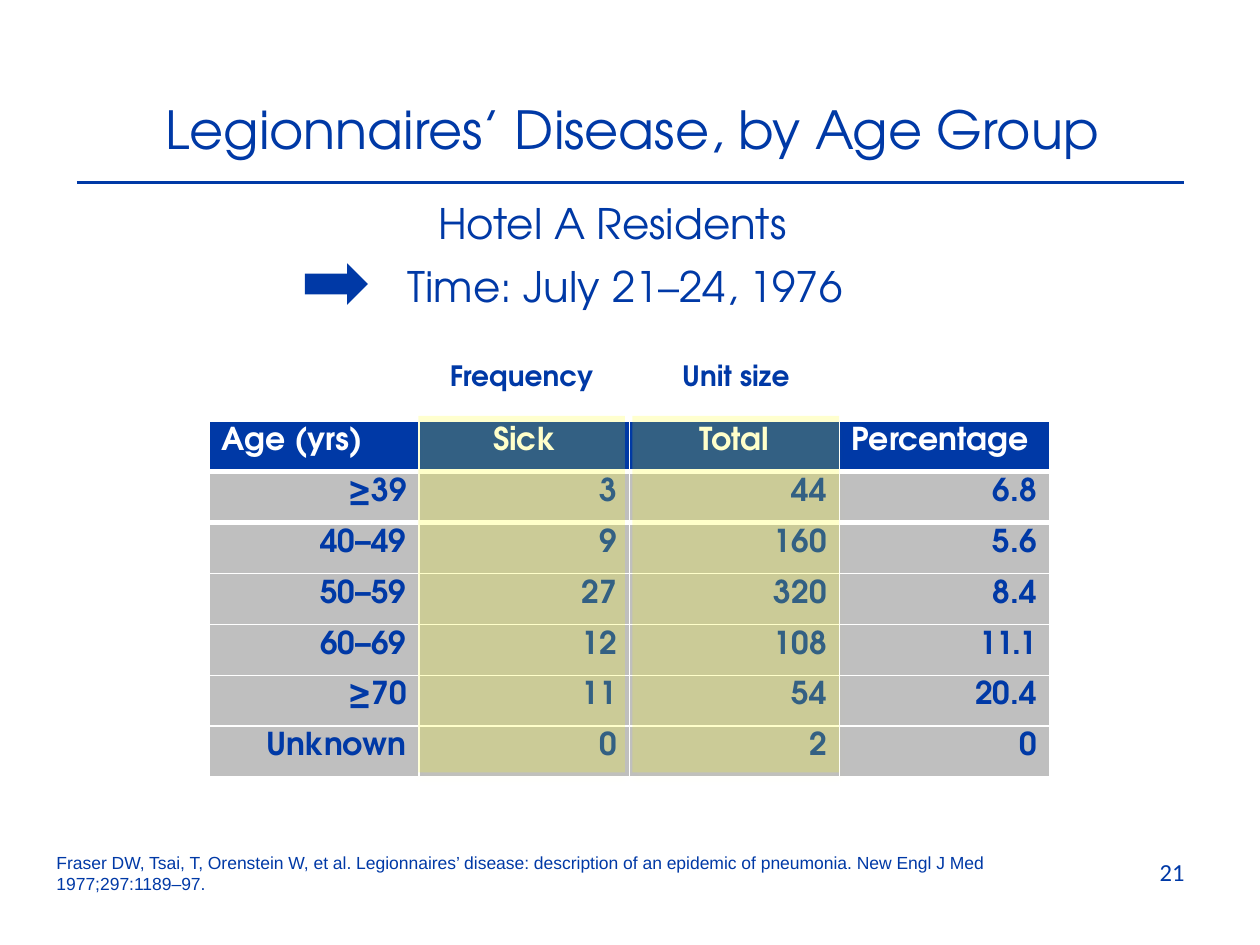
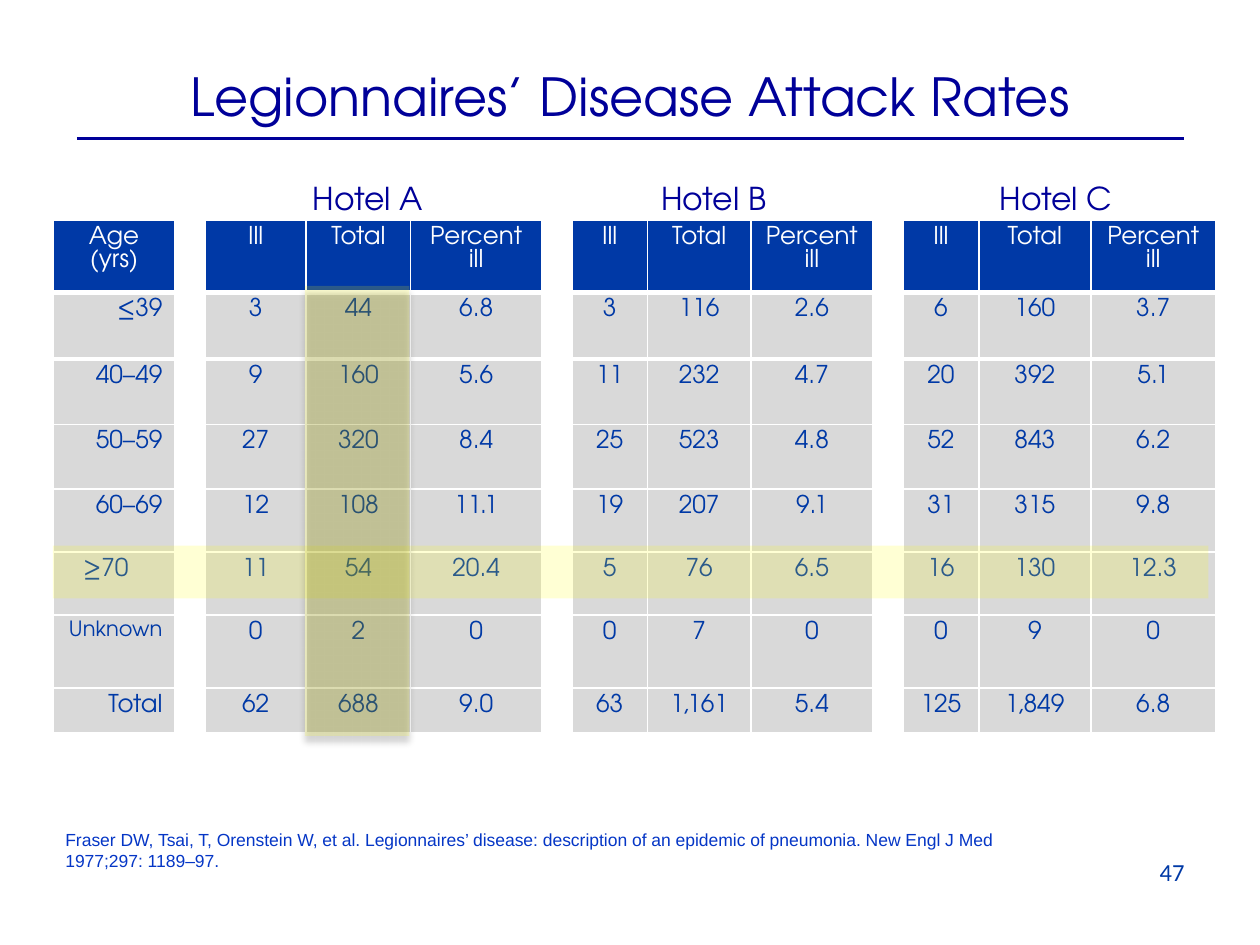
from dataclasses import dataclass

from lxml import etree
from pptx import Presentation
from pptx.dml.color import RGBColor
from pptx.enum.shapes import MSO_CONNECTOR, MSO_SHAPE
from pptx.enum.text import MSO_ANCHOR as Anchor, MSO_AUTO_SIZE as AutoSize, PP_ALIGN as Align
from pptx.oxml.ns import qn
from pptx.util import Inches, Pt


@dataclass(frozen=True)
class Theme:
    blue: str = "0039A6"
    navy: str = "000099"
    citation_blue: str = "0536C6"
    white: str = "FFFFFF"
    gray: str = "BFBFBF"
    light_gray: str = "D9D9D9"
    yellow: str = "FFFF00"
    black: str = "000000"
    heading_font: str = "TeX Gyre Adventor"
    citation_font: str = "Arial"
    number_font: str = "Calibri"
    title_size: int = 30
    subtitle_size: int = 24
    large_size: int = 18
    label_size: int = 16
    small_size: int = 14
    tiny_size: int = 12
    citation_size: int = 10


class Deck:
    def __init__(self, theme):
        self.theme = theme
        self.presentation = Presentation()
        self.presentation.slide_width = Inches(10)
        self.presentation.slide_height = Inches(7.5)
        self.slide = None

    def add_slide(self, title, box, rule_top, number, color):
        """Start a slide with its title, the rule under it and its number."""
        theme = self.theme
        self.slide = self.presentation.slides.add_slide(self.presentation.slide_layouts[5])
        shape = self.slide.shapes.title
        shape.left, shape.top, shape.width, shape.height = map(Inches, box)
        self.fill_frame(shape.text_frame, title, theme.title_size, color, align=Align.CENTER)
        self.rule(rule_top, color)
        self.text(str(number), (7.17, 6.75, 2.33, 0.4), theme.small_size, theme.blue,
                  font=theme.number_font, align=Align.RIGHT)

    def style(self, paragraph, size, color, font=None, bold=False, align=Align.LEFT):
        paragraph.alignment = align
        paragraph.font.name = font or self.theme.heading_font
        paragraph.font.size = Pt(size)
        paragraph.font.bold = bold
        paragraph.font.color.rgb = RGBColor.from_string(color)

    def fill_frame(self, frame, text, size, color, **style):
        frame.text = text
        frame.word_wrap = True
        frame.auto_size = AutoSize.NONE
        frame.vertical_anchor = Anchor.TOP
        for paragraph in frame.paragraphs:
            self.style(paragraph, size, color, **style)

    def text(self, text, box, size, color, parent=None, **style):
        shapes = (parent or self.slide).shapes
        frame = shapes.add_textbox(*map(Inches, box)).text_frame
        self.fill_frame(frame, text, size, color, **style)

    def citation(self, pages, box, color):
        self.text("Fraser DW, Tsai, T, Orenstein W, et al. Legionnaires’ disease: description "
                  f"of an epidemic of pneumonia. New Engl J Med 1977;297:{pages}.",
                  box, self.theme.citation_size, color, font=self.theme.citation_font)

    def rule(self, top, color):
        line = self.slide.shapes.add_connector(
            MSO_CONNECTOR.STRAIGHT, Inches(0.61), Inches(top), Inches(9.4), Inches(top))
        line.line.color.rgb = RGBColor.from_string(color)
        line.line.width = Pt(2)
        etree.SubElement(line._element.spPr, qn("a:effectLst"))

    def shape(self, kind, box, color, parent=None):
        shape = (parent or self.slide).shapes.add_shape(kind, *map(Inches, box))
        shape.shadow.inherit = False
        shape.fill.solid()
        shape.fill.fore_color.rgb = RGBColor.from_string(color)
        shape.line.fill.background()
        return shape

    def highlight(self, box, opacity, shadow=None, parent=None):
        """Lay a clear yellow band; shadow is a colour and its opacity in percent."""
        band = self.shape(MSO_SHAPE.RECTANGLE, box, self.theme.yellow, parent)
        properties = band._element.spPr
        self.set_opacity(properties.find(f".//{qn('a:srgbClr')}"), opacity)
        if shadow:
            color, shadow_opacity = shadow
            outer = etree.SubElement(
                properties.find(qn("a:effectLst")), qn("a:outerShdw"),
                blurRad=str(Pt(4)), dist=str(Pt(4)), dir="5400000", rotWithShape="0")
            self.set_opacity(etree.SubElement(outer, qn("a:srgbClr"), val=color), shadow_opacity)

    @staticmethod
    def set_opacity(color_element, percent):
        etree.SubElement(color_element, qn("a:alpha"), val=str(percent * 1000))

    def labelled_column(self, label, left):
        theme = self.theme
        group = self.slide.shapes.add_group_shape()
        self.highlight((left, 3.3, 1.64, 2.83), 19, (theme.yellow, 9), group)
        self.text(label, (left, 2.8, 1.64, 0.37), theme.label_size, theme.blue,
                  parent=group, bold=True, align=Align.CENTER)

    def border(self, cell, side, points):
        line = etree.Element(qn(f"a:{side}"), w=str(Pt(points)))
        fill = etree.SubElement(line, qn("a:solidFill"))
        etree.SubElement(fill, qn("a:srgbClr"), val=self.theme.white)
        cell._tc.get_or_add_tcPr().insert(0, line)

    def table(self, rows, left, top, widths, heights, body_fill, size, align_of, bold=False):
        """Draw rows under a blue header; a None cell is a white gap."""
        theme = self.theme
        table = self.slide.shapes.add_table(
            len(rows), len(widths), Inches(left), Inches(top),
            Inches(sum(widths)), Inches(sum(heights))).table
        table.horz_banding = False
        for column, width in zip(table.columns, widths):
            column.width = Inches(width)
        for row, height in zip(table.rows, heights):
            row.height = Inches(height)
        for r, row in enumerate(rows):
            for c, text in enumerate(row):
                cell = table.cell(r, c)
                fill = theme.white if text is None else body_fill if r else theme.blue
                cell.fill.solid()
                cell.fill.fore_color.rgb = RGBColor.from_string(fill)
                if r < 2:
                    self.border(cell, "lnT" if r else "lnB", 3)
                cell.text = text or ""
                for paragraph in cell.text_frame.paragraphs:
                    self.style(paragraph, size, theme.blue if r else theme.white,
                               bold=bold, align=align_of(r, c))
        return table

    def save(self):
        self.presentation.save("out.pptx")


def build_age_slide(deck):
    theme = deck.theme
    deck.add_slide("Legionnaires’ Disease, by Age Group", (0.52, 0.72, 9, 0.73), 1.45, 21, theme.blue)
    deck.citation("1189–97", (0.35, 6.71, 8.4, 0.44), theme.blue)
    rows = [
        ("Age (yrs)", "Sick", "Total", "Percentage"),
        ("≥39", "3", "44", "6.8"),
        ("40–49", "9", "160", "5.6"),
        ("50–59", "27", "320", "8.4"),
        ("60–69", "12", "108", "11.1"),
        ("≥70", "11", "54", "20.4"),
        ("Unknown", "0", "2", "0"),
    ]

    def align_of(row, column):
        if row:
            return Align.RIGHT
        return Align.CENTER if column in (1, 2) else Align.LEFT

    deck.table(rows, 1.66, 3.34, [6.67 / 4] * 4, [2.83 / len(rows)] * len(rows),
               theme.gray, theme.large_size, align_of, bold=True)
    deck.text("Time: July 21–24, 1976", (2.92, 2.02, 4.08, 0.73), theme.subtitle_size,
              theme.blue, align=Align.CENTER)
    for label, left in (("Frequency", 3.32), ("Unit size", 5.02)):
        deck.labelled_column(label, left)
    deck.text("Hotel A Residents", (3.38, 1.52, 3.2, 0.51), theme.subtitle_size, theme.blue)
    deck.shape(MSO_SHAPE.RIGHT_ARROW, (2.42, 2.09, 0.5, 0.33), theme.blue)


def build_attack_rate_slide(deck):
    theme = deck.theme
    deck.add_slide("Legionnaires’ Disease Attack Rates", (0.79, 0.46, 8.42, 0.61), 1.1, 47, theme.navy)
    deck.citation(" 1189–97", (0.42, 6.53, 7.75, 0.44), theme.citation_blue)
    header = ("Ill", "Total", "Percent\nill")
    ages = ["Age\n(yrs)", "≤39", "40–49", "50–59", "60–69", "≥70", "Unknown", "Total"]
    hotel_a = [header, ("3", "44", "6.8"), ("9", "160", "5.6"), ("27", "320", "8.4"),
               ("12", "108", "11.1"), ("11", "54", "20.4"), ("0", "2", "0"), ("62", "688", "9.0")]
    hotel_b = [header, ("3", "116", "2.6"), ("11", "232", "4.7"), ("25", "523", "4.8"),
               ("19", "207", "9.1"), ("5", "76", "6.5"), ("0", "7", "0"), ("63", "1,161", "5.4")]
    hotel_c = [header, ("6", "160", "3.7"), ("20", "392", "5.1"), ("52", "843", "6.2"),
               ("31", "315", "9.8"), ("16", "130", "12.3"), ("0", "9", "0"), ("125", "1,849", "6.8")]
    rows = [(age, None, *a, None, *b, None, *c)
            for age, a, b, c in zip(ages, hotel_a, hotel_b, hotel_c)]
    gap = 0.24
    widths = [0.97, gap, 0.8, 0.83, 1.04, gap, 0.6, 0.82, 0.97, gap, 0.6, 0.89, 0.99]
    heights = [0.57, 0.53, 0.52, 0.51, 0.5, 0.5, 0.58, 0.36]
    table = deck.table(rows, 0.42, 1.75, widths, heights, theme.light_gray, theme.small_size,
                       lambda row, column: Align.RIGHT if row and not column else Align.CENTER)
    table.cell(ages.index("≥70"), 0).margin_right = Inches(0.37)
    unknown = table.cell(ages.index("Unknown"), 0)
    unknown.text_frame.paragraphs[0].font.size = Pt(theme.tiny_size)

    deck.highlight((0.42, 4.33, 9.17, 0.42), 17)
    deck.highlight((2.42, 2.27, 0.83, 3.57), 17, (theme.black, 17))
    for hotel, left, width in (("A", 1.67, 2.5), ("B", 4.5, 2.33), ("C", 7.17, 2.42)):
        deck.text(f"Hotel {hotel}", (left, 1.37, width, 0.4), theme.large_size, theme.navy,
                  align=Align.CENTER)


def main():
    deck = Deck(Theme())
    build_age_slide(deck)
    build_attack_rate_slide(deck)
    deck.save()


if __name__ == "__main__":
    main()
